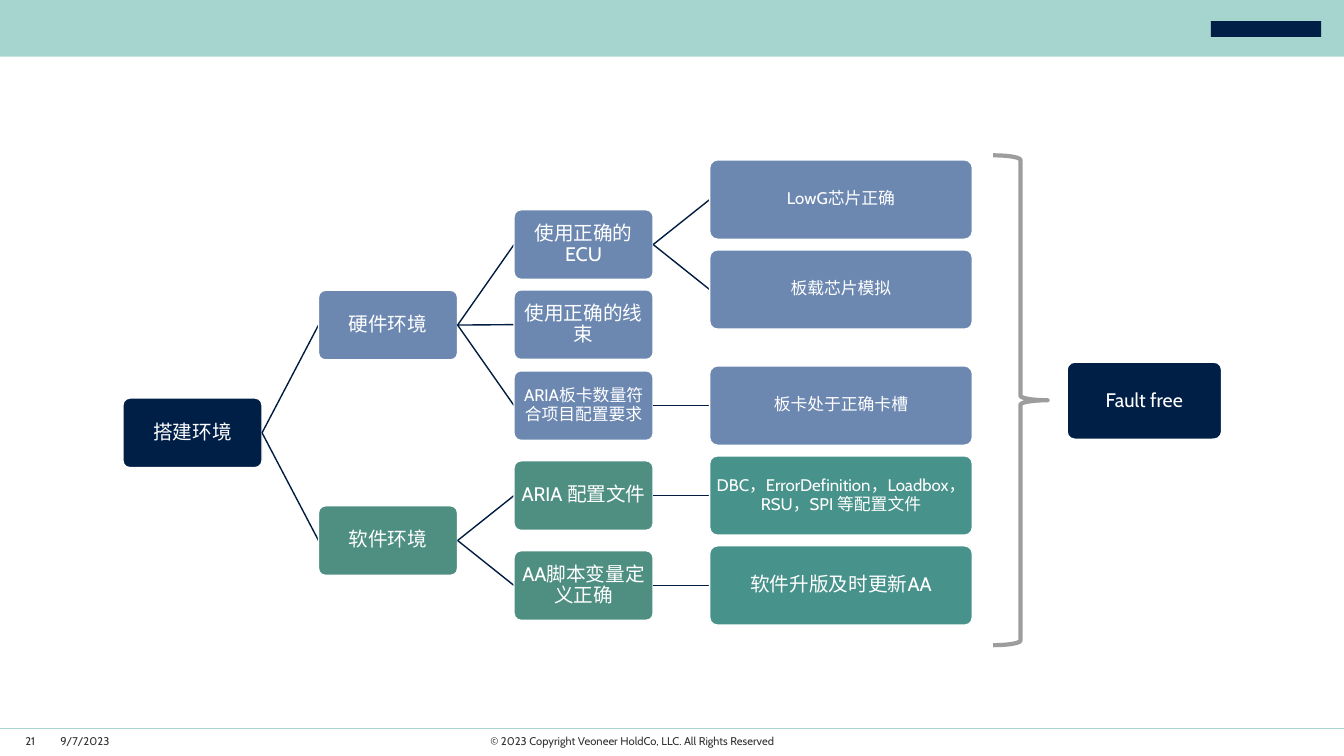
from dataclasses import dataclass, field

from lxml import etree
from pptx import Presentation
from pptx.dml.color import RGBColor
from pptx.enum.shapes import MSO_CONNECTOR, MSO_SHAPE
from pptx.enum.text import MSO_ANCHOR, PP_ALIGN
from pptx.oxml.ns import qn
from pptx.util import Inches, Pt

STRAIGHT = MSO_CONNECTOR.STRAIGHT
RECTANGLE, ROUNDED = MSO_SHAPE.RECTANGLE, MSO_SHAPE.ROUNDED_RECTANGLE
RIGHT_BRACE = MSO_SHAPE.RIGHT_BRACE
MIDDLE, BOTTOM = MSO_ANCHOR.MIDDLE, MSO_ANCHOR.BOTTOM
LEFT, CENTER, RIGHT = PP_ALIGN.LEFT, PP_ALIGN.CENTER, PP_ALIGN.RIGHT


@dataclass(frozen=True)
class Theme:
    font: str = "Cabin"
    large: int = 14
    medium: int = 12
    small: int = 8
    navy: str = "001F47"
    link: str = "001C40"
    blue: str = "6C88B1"
    green: str = "4E8F82"
    teal: str = "47928A"
    mint: str = "A6D4CF"
    gray: str = "9D9D9D"
    ink: str = "323232"
    white: str = "FFFFFF"


THEME = Theme()


@dataclass
class Node:
    text: str
    color: str
    size: int = THEME.large
    row: float = 0
    children: list = field(default_factory=list)

    def center_row(self):
        """A leaf has its own row; a parent sits midway between its children."""
        if not self.children:
            return self.row
        return (self.children[0].center_row() + self.children[-1].center_row()) / 2


# Tree layout, in percent of the slide's width and height
FIRST_COLUMN, COLUMN_STEP = 9.15, 14.55
FIRST_ROW, ROW_STEP = 26.4, 11.9
NODE_SIZE = (10.35, 9.2)
DETAIL_SIZE = (19.55, 10.5)
DETAIL_LEVEL = 3


class SlideBuilder:
    """Draws on one slide; all lengths are percent of the slide's size."""

    def __init__(self, presentation, theme):
        self.theme = theme
        self.width = presentation.slide_width
        self.height = presentation.slide_height
        self.slide = presentation.slides.add_slide(presentation.slide_layouts[6])

    def x(self, percent):
        return round(self.width * percent / 100)

    def y(self, percent):
        return round(self.height * percent / 100)

    def frame(self, left, top, width, height):
        return self.x(left), self.y(top), self.x(width), self.y(height)

    def add_text(self, shape, runs, size, color, align, anchor, inset, wrap):
        text_frame = shape.text_frame
        text_frame.word_wrap = wrap
        text_frame.vertical_anchor = anchor
        text_frame.margin_left = text_frame.margin_right = Inches(inset)
        text_frame.margin_top = text_frame.margin_bottom = Inches(inset)
        paragraph = text_frame.paragraphs[0]
        paragraph.alignment = align
        for text in runs:
            run = paragraph.add_run()
            run.text = text
            run.font.name = self.theme.font
            run.font.size = Pt(size)
            run.font.color.rgb = RGBColor.from_string(color)
        return paragraph

    def shape(self, kind, frame, fill=None, line=None, line_width=1):
        shape = self.slide.shapes.add_shape(kind, *self.frame(*frame))
        shape.shadow.inherit = False
        if fill:
            shape.fill.solid()
            shape.fill.fore_color.rgb = RGBColor.from_string(fill)
        else:
            shape.fill.background()
        if line:
            shape.line.color.rgb = RGBColor.from_string(line)
            shape.line.width = Pt(line_width)
        else:
            shape.line.fill.background()
        return shape

    def box(self, frame, text, fill, size):
        shape = self.shape(ROUNDED, frame, fill, self.theme.white)
        shape.adjustments[0] = 0.1
        paragraph = self.add_text(shape, [text], size, self.theme.white,
                                  CENTER, MIDDLE, 0.01, True)
        paragraph.line_spacing = 0.9

    def label(self, frame, text, align):
        shape = self.slide.shapes.add_textbox(*self.frame(*frame))
        self.add_text(shape, [text], self.theme.small, self.theme.ink,
                      align, BOTTOM, 0, False)

    def line(self, start, end, color, width=1):
        connector = self.slide.shapes.add_connector(
            STRAIGHT, self.x(start[0]), self.y(start[1]),
            self.x(end[0]), self.y(end[1]))
        connector.line.color.rgb = RGBColor.from_string(color)
        connector.line.width = Pt(width)
        etree.SubElement(connector._element.spPr, qn("a:effectLst"))

    def tree(self, node, level=0, parent_edge=None):
        left = FIRST_COLUMN + level * COLUMN_STEP
        middle = FIRST_ROW + node.center_row() * ROW_STEP
        width, height = DETAIL_SIZE if level == DETAIL_LEVEL else NODE_SIZE
        if parent_edge:
            self.line(parent_edge, (left, middle), self.theme.link)
        self.box((left, middle - height / 2, width, height),
                 node.text, node.color, node.size)
        for child in node.children:
            self.tree(child, level + 1, (left + width, middle))


def environment_tree():
    navy, blue, green, teal = THEME.navy, THEME.blue, THEME.green, THEME.teal
    medium = THEME.medium
    hardware = Node("硬件环境", blue, children=[
        Node("使用正确的ECU", blue, children=[
            Node("LowG芯片正确", blue, medium, 0),
            Node("板载芯片模拟", blue, medium, 1)]),
        Node("使用正确的线束", blue, row=1.39),
        Node("ARIA板卡数量符合项目配置要求", blue, medium, children=[
            Node("板卡处于正确卡槽", blue, medium, 2.29)])])
    software = Node("软件环境", green, children=[
        Node("ARIA 配置文件", green, children=[
            Node("DBC，ErrorDefinition，Loadbox，RSU，SPI 等配置文件",
                 teal, medium, 3.29)]),
        Node("AA脚本变量定义正确", green, children=[
            Node("软件升版及时更新AA", teal, row=4.29)])])
    return Node("搭建环境", navy, children=[hardware, software])


def main():
    presentation = Presentation()
    presentation.slide_width = Inches(13.33)
    presentation.slide_height = Inches(7.5)
    builder = SlideBuilder(presentation, THEME)

    # Header band with a plain emblem
    builder.shape(RECTANGLE, (0, 0, 100, 7.5), THEME.mint)
    builder.shape(RECTANGLE, (90.1, 2.8, 8.2, 2.1), THEME.navy)

    # Footer
    builder.line((0, 96.3), (100, 96.3), THEME.mint, 0.25)
    builder.label((35.95, 97.2, 21.7, 1.75),
                  "© 2023 Copyright Veoneer HoldCo, LLC. All Rights Reserved", RIGHT)
    builder.label((4.5, 97.2, 7.1, 1.75), "9/7/2023", LEFT)
    builder.label((1.65, 97.2, 1.2, 1.75), "21", CENTER)

    # Environment tree and its outcome
    builder.tree(environment_tree())
    builder.shape(RIGHT_BRACE, (73.9, 20.55, 4.05, 64.8), line=THEME.gray, line_width=3)
    builder.box((79.4, 47.9, 11.5, 10.2), "Fault free", THEME.navy, THEME.large)

    presentation.save("out.pptx")


if __name__ == "__main__":
    main()
